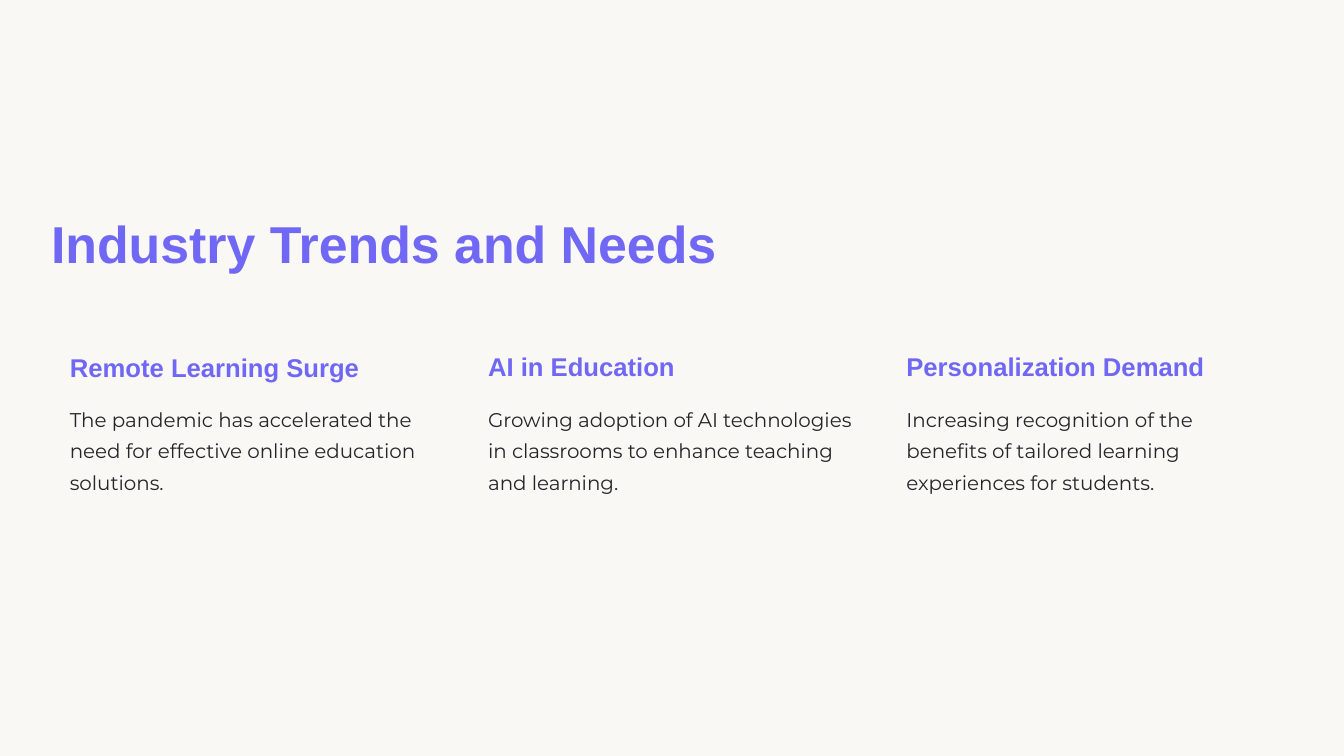
from pptx import Presentation
from pptx.dml.color import RGBColor
from pptx.enum.text import MSO_ANCHOR, MSO_AUTO_SIZE, PP_ALIGN
from pptx.util import Cm, Pt

TOP = MSO_ANCHOR.TOP
FIXED = MSO_AUTO_SIZE.NONE
LEFT = PP_ALIGN.LEFT
TITLE_ONLY = 5

# Content: heading, its top, width and height in centimetres, description
TITLE = "Industry Trends and Needs"
TRENDS = [
    ("Remote Learning Surge", (13.23, 11.61, 1.27),
     "The pandemic has accelerated the need for effective online education solutions."),
    ("AI in Education", (13.18, 9.91, 1.37),
     "Growing adoption of AI technologies in classrooms to enhance teaching and learning."),
    ("Personalization Demand", (13.18, 11.79, 1.27),
     "Increasing recognition of the benefits of tailored learning experiences for students."),
]

COLORS = {"base": "E6E2DB", "panel": "F9F8F5", "accent": "7068F4", "body": "272525"}

# Text styles: font, size, line spacing, bold, colour
STYLES = {
    "title": ("Arial", 55.6, 70, True, "accent"),
    "heading": ("Arial", 27.5, 35, True, "accent"),
    "body": ("Montserrat", 21.3, 33.8, False, "body"),
}

# Column grid and description box in centimetres
COLUMN_LEFT, COLUMN_PITCH = 2.64, 15.81
DESCRIPTION_BOX = (15.11, 13.94, 3.84)


def write(box, text, style):
    font_name, size, spacing, bold, color = STYLES[style]
    frame = box.text_frame
    frame.margin_left = frame.margin_right = 0
    frame.margin_top = frame.margin_bottom = 0
    frame.word_wrap = True
    frame.auto_size = FIXED
    frame.vertical_anchor = TOP
    para = frame.paragraphs[0]
    para.text = text
    para.alignment = LEFT
    para.line_spacing = Pt(spacing)
    para.font.name = font_name
    para.font.size = Pt(size)
    para.font.bold = bold
    para.font.color.rgb = RGBColor.from_string(COLORS[color])


deck = Presentation()
deck.slide_width, deck.slide_height = Cm(50.8), Cm(28.58)
page = deck.slides.add_slide(deck.slide_layouts[TITLE_ONLY])
title = page.shapes.title

# Full-page panels, placed behind the title
width, height = deck.slide_width, deck.slide_height
for color in ("base", "panel"):
    outline = page.shapes.build_freeform(0, 0)
    outline.add_line_segments([(width, 0), (width, height), (0, height)], close=True)
    panel = outline.convert_to_shape()
    panel.shadow.inherit = False
    panel.fill.solid()
    panel.fill.fore_color.rgb = RGBColor.from_string(COLORS[color])
    panel.line.fill.background()
    title.element.addprevious(panel.element)

# Title
title.left, title.top = Cm(1.93), Cm(7.9)
title.width, title.height = Cm(28.42), Cm(2.54)
write(title, TITLE, "title")

# Three columns, each a heading over a description
for index, (heading, heading_box, description) in enumerate(TRENDS):
    left = Cm(COLUMN_LEFT + index * COLUMN_PITCH)
    for text, style, place in (
        (heading, "heading", heading_box),
        (description, "body", DESCRIPTION_BOX),
    ):
        box = page.shapes.add_textbox(left, *map(Cm, place))
        write(box, text, style)

deck.save("out.pptx")
